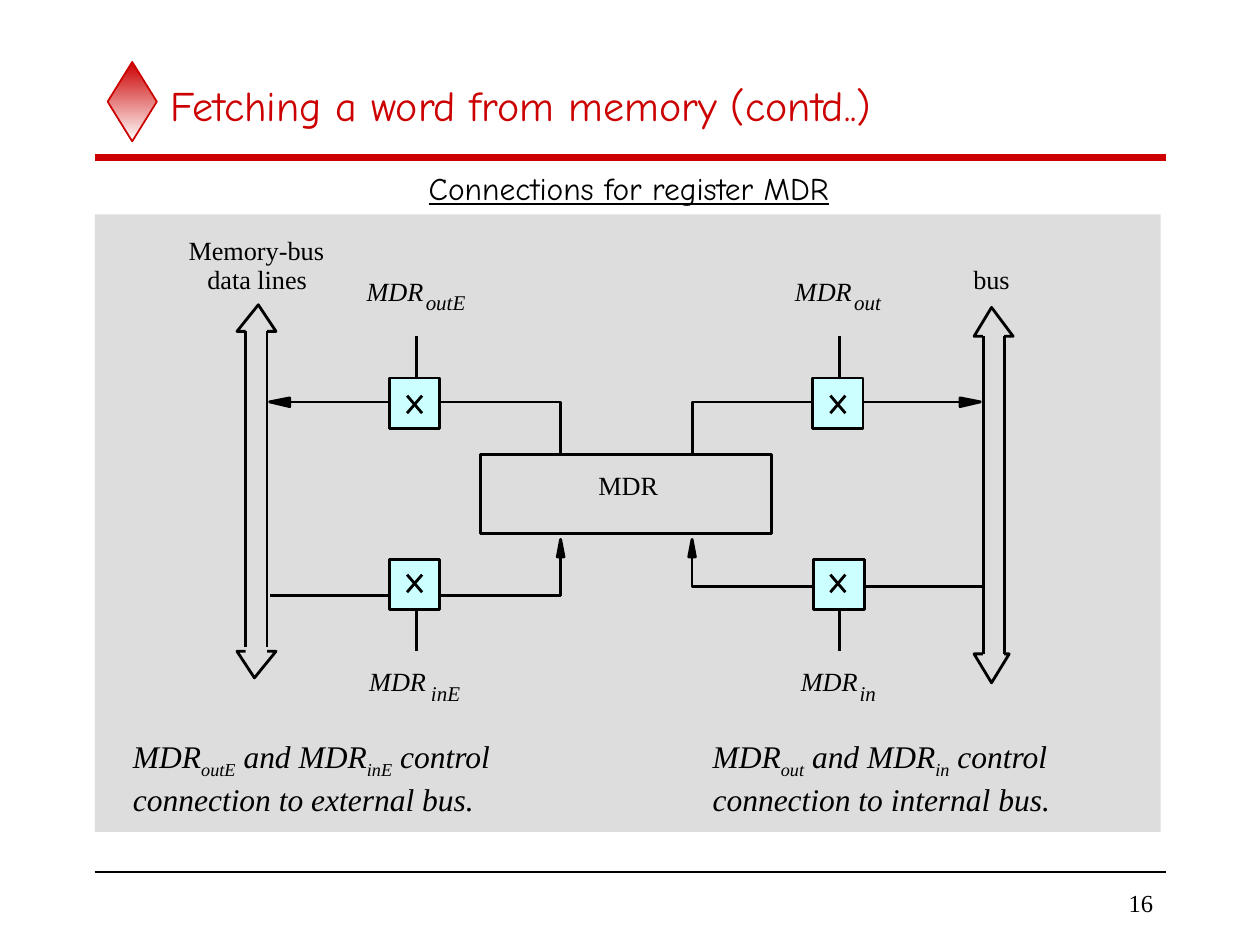
from lxml import etree
from pptx import Presentation
from pptx.dml.color import RGBColor
from pptx.enum.shapes import MSO_CONNECTOR, MSO_SHAPE
from pptx.enum.text import MSO_ANCHOR, PP_ALIGN
from pptx.oxml.ns import qn
from pptx.util import Pt

RECT, DIAMOND = MSO_SHAPE.RECTANGLE, MSO_SHAPE.DIAMOND
STRAIGHT = MSO_CONNECTOR.STRAIGHT
TOP, MIDDLE = MSO_ANCHOR.TOP, MSO_ANCHOR.MIDDLE
LEFT, CENTER, RIGHT = PP_ALIGN.LEFT, PP_ALIGN.CENTER, PP_ALIGN.RIGHT
SERIF, COMIC = "Times New Roman", "Comic Neue"
RED, BLACK, WHITE, GREY, CYAN = "CC0000", "000000", "FFFFFF", "DDDDDD", "CCFFFF"
PEN = 1.62

deck = Presentation()
deck.slide_width, deck.slide_height = Pt(720), Pt(540)
slide = deck.slides.add_slide(deck.slide_layouts[6])
shapes = slide.shapes


def paint(fill, *tones):
    """Fill with nothing, one colour, or a gradient from top to bottom."""
    if not tones:
        fill.background()
    elif len(tones) == 1:
        fill.solid()
        fill.fore_color.rgb = RGBColor.from_string(tones[0])
    else:
        fill.gradient()
        fill.gradient_angle = 270
        for stop, tone in zip(fill.gradient_stops, tones):
            stop.color.rgb = RGBColor.from_string(tone)


def text(lines, x, y, w, h, size=15, font=SERIF, tone=BLACK, italic=False,
         underline=False, align=LEFT, anchor=TOP, pad=(0, 0)):
    """Write lines, each a list of runs where every second run is a subscript."""
    frame = shapes.add_textbox(Pt(x), Pt(y), Pt(w), Pt(h)).text_frame
    frame.word_wrap = False
    frame.vertical_anchor = anchor
    frame.margin_left = frame.margin_right = Pt(pad[0])
    frame.margin_top = frame.margin_bottom = Pt(pad[1])
    for row, runs in enumerate(lines):
        para = frame.paragraphs[0] if row == 0 else frame.add_paragraph()
        para.alignment = align
        for part, words in enumerate(runs):
            run = para.add_run()
            run.text = words
            run.font.name, run.font.size = font, Pt(size)
            run.font.italic, run.font.underline = italic, underline
            paint(run.font.fill, tone)
            if part % 2:
                run.font._element.set("baseline", "-25000")


# Diamond, grey panel and register
for kind, x, y, w, h, tones, edge, width in [
    (DIAMOND, 61.5, 35.4, 28.1, 45.4, [RED, WHITE], [RED], 1),
    (RECT, 54.2, 122.6, 609.1, 352.8, [GREY], [], 0),
    (RECT, 274.8, 259.7, 166.3, 45.4, [], [BLACK], PEN),
]:
    box = shapes.add_shape(kind, Pt(x), Pt(y), Pt(w), Pt(h))
    box.shadow.inherit = False
    paint(box.fill, *tones)
    paint(box.line.fill, *edge)
    box.line.width = Pt(width)

# Straight lines: rules, bus sides, switch stems
bars = [(54, 90, 666, 90, RED, 4), (54, 498.2, 666, 498.2, BLACK, 1)]
for x, top, end in [(140.4, 189.4, 370), (561.8, 192.2, 373.7)]:
    bars += [(side, top, side, end, BLACK, PEN) for side in (x, x + 12.2)]
for x in (237.8, 479.5):
    bars += [(x, 192.2, x, 217.4, BLACK, PEN), (x, 348.5, x, 372.2, BLACK, PEN)]
for x1, y1, x2, y2, tone, width in bars:
    bar = shapes.add_connector(STRAIGHT, Pt(x1), Pt(y1), Pt(x2), Pt(y2))
    paint(bar.line.fill, tone)
    bar.line.width = Pt(width)
    etree.SubElement(bar._element.spPr, qn("a:effectLst"))

# Wires, solid arrowheads and open bus heads
paths = [
    ([(395.5, 318.2), (395.5, 335), (561.6, 335)], False),
    ([(320.4, 318.2), (320.4, 340.4), (154.1, 340.4)], False),
    ([(395.5, 260), (395.5, 229.7), (548.6, 229.7)], False),
    ([(320.4, 260), (320.4, 229.7), (165.6, 229.7)], False),
]
for x in (320.4, 395.5):
    paths.append(([(x - 1.9, 318.2), (x, 308.2), (x + 1.9, 318.2)], True))
for base, tip in [(165.6, 154.1), (548.6, 560.2)]:
    paths.append(([(base, 227.4), (tip, 229.7), (base, 232.4)], True))
for left, right, mid, base, tip in [
    (135.4, 157.7, 147.6, 189.4, 174.2), (135.4, 157.7, 145.4, 372.2, 387.4),
    (556.6, 578.9, 566.6, 192.2, 175.7), (556.6, 576.7, 566.6, 373.7, 390.2),
]:
    inner = left + 5
    paths.append(([(inner + 12.2, base), (right, base), (mid, tip),
                   (left, base), (inner, base)], False))
for points, solid in paths:
    spots = [(Pt(x), Pt(y)) for x, y in points]
    pen = shapes.build_freeform(*spots[0])
    pen.add_line_segments(spots[1:], close=solid)
    path = pen.convert_to_shape()
    path.shadow.inherit = False
    paint(path.fill, *([BLACK] if solid else []))
    paint(path.line.fill, BLACK)
    path.line.width = Pt(PEN)

# Switches, each with a cross
for x, y, mid, row in [(222.5, 216, 236.9, 231.1), (464.4, 216, 478.8, 231.1),
                       (222.5, 319.7, 236.9, 333.4), (465.1, 319.7, 478.8, 333.4)]:
    gate = shapes.add_shape(RECT, Pt(x), Pt(y), Pt(28.8), Pt(28.8))
    paint(gate.fill, CYAN)
    pen = shapes.build_freeform(Pt(mid - 4.3), Pt(row - 5))
    pen.add_line_segments([(Pt(mid + 4.3), Pt(row + 5))], close=False)
    pen.move_to(Pt(mid + 4.3), Pt(row - 5))
    pen.add_line_segments([(Pt(mid - 4.3), Pt(row + 5))], close=False)
    cross = pen.convert_to_shape()
    paint(cross.fill)
    for part in (gate, cross):
        part.shadow.inherit = False
        paint(part.line.fill, BLACK)
        part.line.width = Pt(PEN)

# Headings and page number
inset = (7.2, 3.6)
text([["Fetching a word from memory (contd..)"]], 90.3, 36, 576, 48, size=24,
     font=COMIC, tone=RED, anchor=MIDDLE, pad=inset)
text([["Connections for register MDR"]], 237.9, 92.9, 244.1, 28.8, size=18,
     font=COMIC, underline=True, pad=inset)
text([["16"]], 563.8, 504, 102.2, 23.8, size=14, align=RIGHT, anchor=MIDDLE, pad=inset)

# Diagram labels
for words, x, y, w in [("MDR", 341, 268, 36), ("Memory-bus", 106, 133.9, 81),
                       ("data lines", 115, 150.5, 64), ("bus", 555.6, 150.5, 22)]:
    text([[words]], x, y, w, 18, align=CENTER)
for sub, x, y, shift, w in [("outE", 209.5, 157, 33.8, 26), ("out", 454.3, 157, 33.8, 18),
                            ("inE", 211, 380.4, 35.3, 20), ("in", 457.7, 380.4, 33.5, 12)]:
    text([["MDR"]], x, y, 36, 18, italic=True)
    text([[sub]], x + shift, y + 8.6, w, 14.4, size=12, italic=True)

# Captions
for x, w, out, into, bus in [(68.9, 218.9, "outE", "inE", "external"),
                             (400.1, 207.4, "out", "in", "internal")]:
    text([["MDR", out, " and MDR", into, " control"], [f"connection to {bus} bus."]],
         x, 417.6, w, 53.3, size=18, italic=True, pad=inset)

deck.save("out.pptx")
